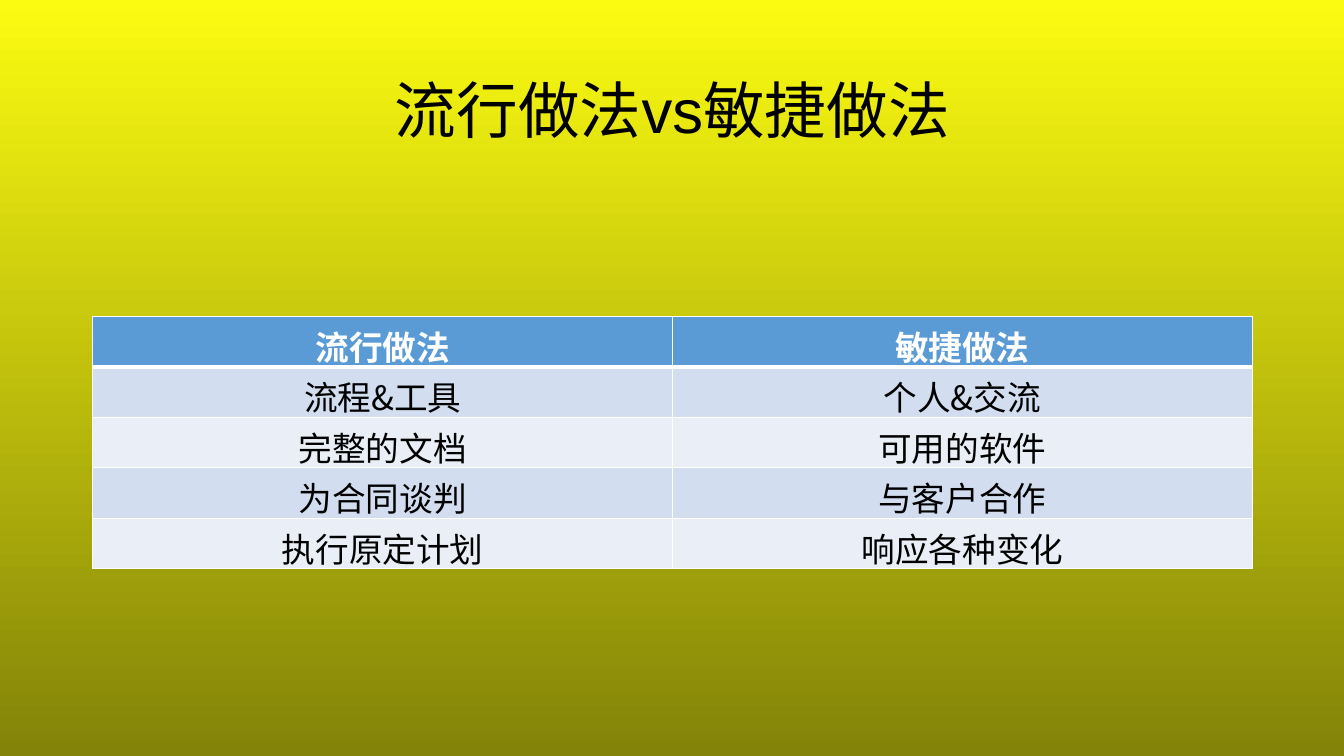
"""Build a slide that compares popular practice with agile practice."""
from pptx import Presentation
from pptx.dml.color import RGBColor
from pptx.enum.text import MSO_ANCHOR, PP_ALIGN
from pptx.oxml import parse_xml
from pptx.oxml.ns import nsdecls
from pptx.util import Inches, Pt

YELLOW = RGBColor(0xFB, 0xFB, 0x11)
OLIVE = RGBColor(0x83, 0x83, 0x09)
BLACK = RGBColor(0x00, 0x00, 0x00)
WHITE = RGBColor(0xFF, 0xFF, 0xFF)
HEADER_BLUE = RGBColor(0x5B, 0x9B, 0xD5)
BAND_DARK = RGBColor(0xD2, 0xDE, 0xEF)
BAND_LIGHT = RGBColor(0xEA, 0xEF, 0xF7)
CJK_FONT = "Noto Sans CJK SC"
PRACTICES = [
    ("流行做法", "敏捷做法"),
    ("流程&工具", "个人&交流"),
    ("完整的文档", "可用的软件"),
    ("为合同谈判", "与客户合作"),
    ("执行原定计划", "响应各种变化"),
]


def style_text(para, size, color, latin_font, bold=False):
    """Centre a paragraph and format its only run."""
    para.alignment = PP_ALIGN.CENTER
    span = para.runs[0]
    span.font.size = Pt(size)
    span.font.bold = bold
    span.font.color.rgb = color
    span.font.name = latin_font
    span.font._element.append(
        parse_xml(f'<a:ea {nsdecls("a")} typeface="{CJK_FONT}"/>'))


def add_border(cell, side, points):
    """Draw a white line on one side of a cell."""
    cell._tc.get_or_add_tcPr().append(parse_xml(
        f'<a:ln{side} {nsdecls("a")} w="{Pt(points)}"><a:solidFill>'
        f'<a:srgbClr val="{WHITE}"/></a:solidFill></a:ln{side}>'))


deck = Presentation()
deck.slide_width = Inches(13.33)
deck.slide_height = Inches(7.5)
page = deck.slides.add_slide(deck.slide_layouts[6])

backdrop = page.background.fill
backdrop.gradient()
backdrop.gradient_angle = 270
for stop, color, position in zip(backdrop.gradient_stops, (YELLOW, OLIVE), (0, 1)):
    stop.color.rgb = color
    stop.position = position

title_box = page.shapes.add_textbox(Inches(0.92), Inches(0.4), Inches(11.5), Inches(1.45))
title_frame = title_box.text_frame
title_frame.word_wrap = True
title_frame.vertical_anchor = MSO_ANCHOR.MIDDLE
title_frame.text = "流行做法vs敏捷做法"
title_frame.paragraphs[0].line_spacing = 0.9
style_text(title_frame.paragraphs[0], 44, BLACK, "Arial")

table = page.shapes.add_table(
    len(PRACTICES), 2, Inches(0.92), Inches(3.14), Inches(11.5), Inches(2.08)).table
for row, practices in enumerate(PRACTICES):
    is_header = row == 0
    band = HEADER_BLUE if is_header else BAND_DARK if row % 2 else BAND_LIGHT
    widths = {"L": 1, "R": 1, "T": 3 if row == 1 else 1, "B": 3 if is_header else 1}
    for column, practice in enumerate(practices):
        cell = table.cell(row, column)
        for side, points in widths.items():
            add_border(cell, side, points)
        cell.fill.solid()
        cell.fill.fore_color.rgb = band
        cell.text_frame.text = practice
        style_text(cell.text_frame.paragraphs[0], 24,
                   WHITE if is_header else BLACK, CJK_FONT, is_header)

deck.save("out.pptx")
